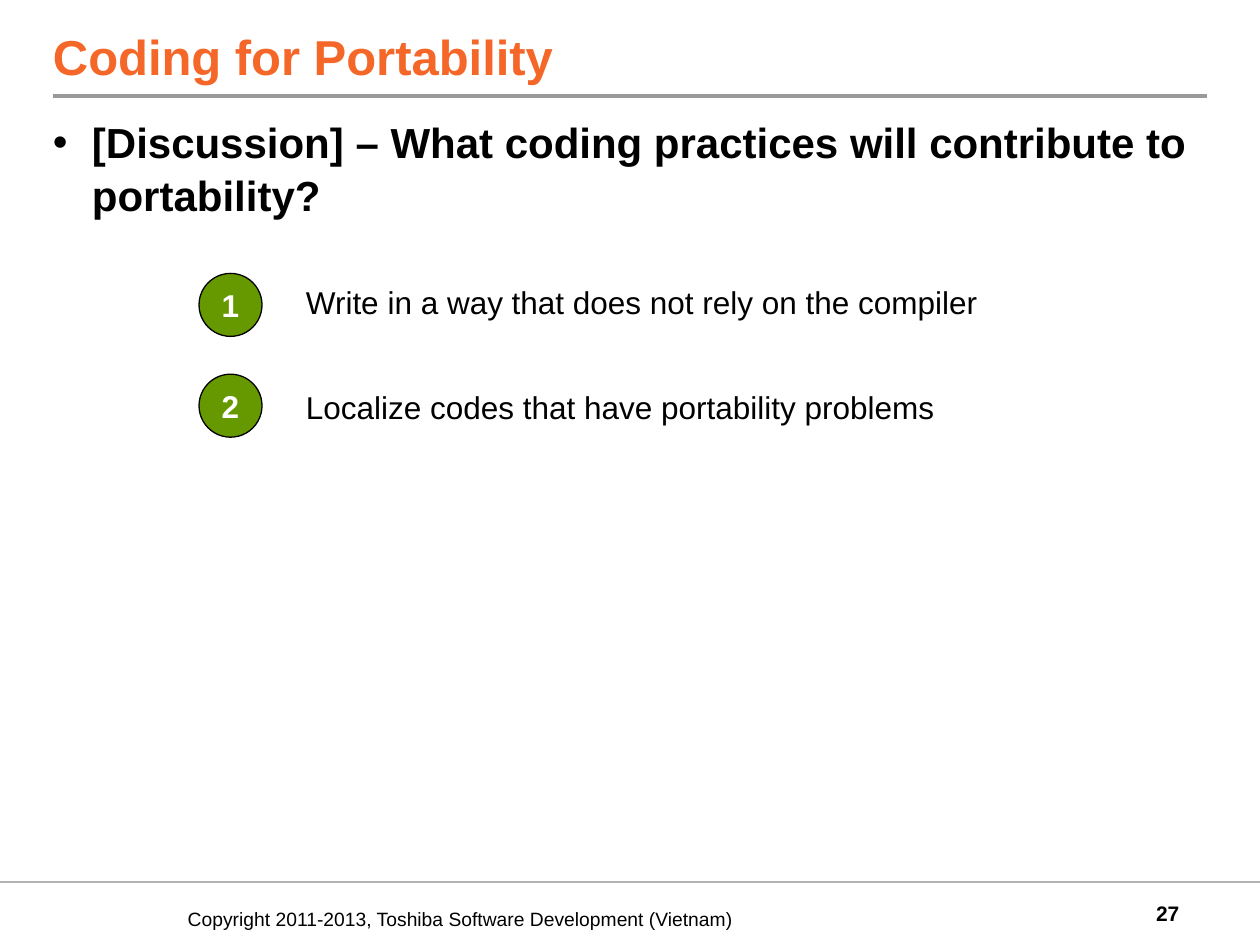
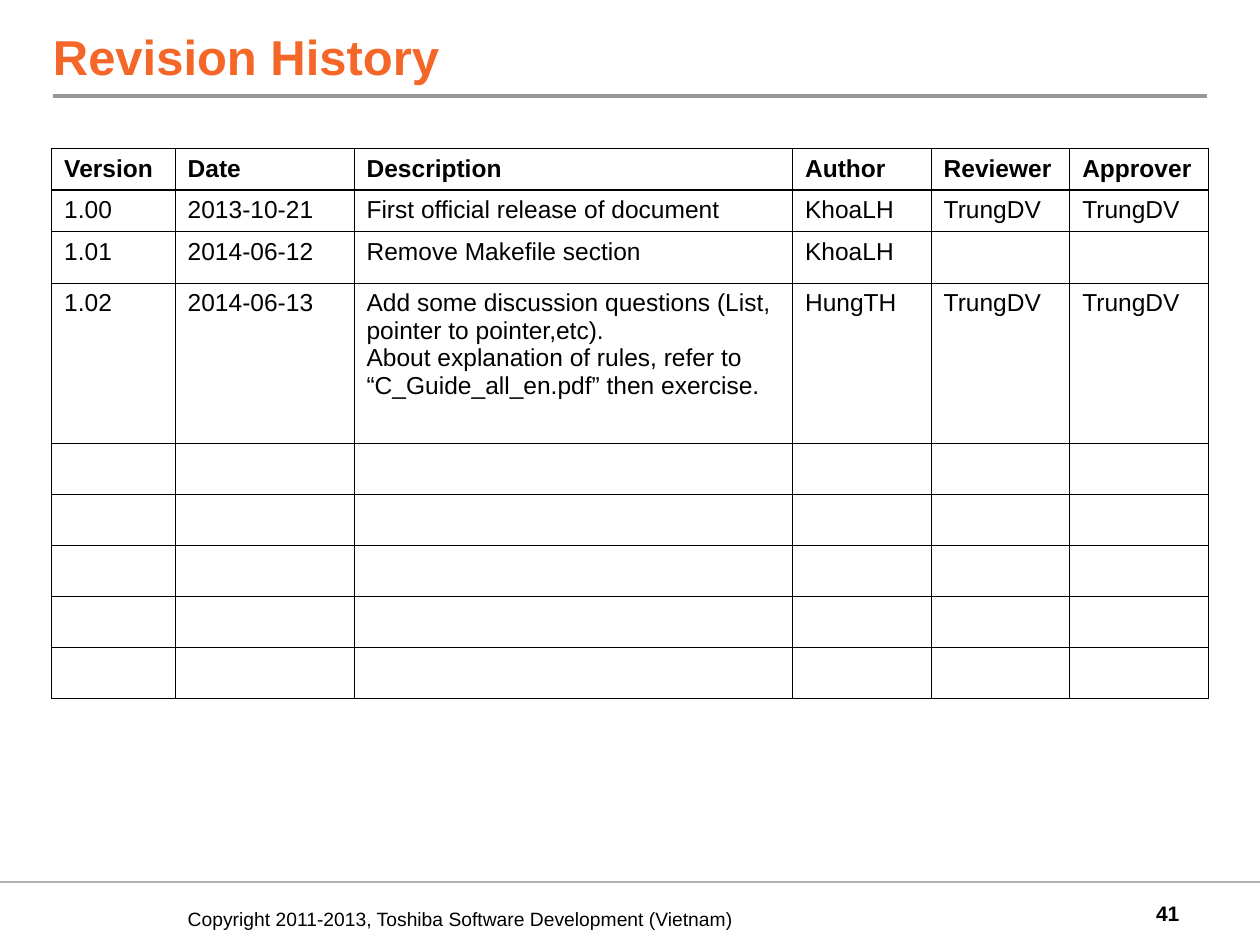
import pptx
import pptx.dml.color
import pptx.enum.shapes
import pptx.enum.text
import pptx.oxml
import pptx.oxml.ns
import pptx.util
from lxml import etree

COLORS = {
    "title": "F46728",
    "title_rule": "999999",
    "footer_rule": "B2B2B2",
    "text": "000000",
    "badge": "669900",
    "badge_text": "FFFFFF",
}
FONT = "Arial"
GRID = pptx.util.Inches(0.1)
COLUMNS, ROWS = 100, 75
MARGIN = 4.2
CONTENT_WIDTH = COLUMNS - 2 * MARGIN
COPYRIGHT = "Copyright 2011-2013, Toshiba Software Development (Vietnam)"
ALIGN = pptx.enum.text.PP_ALIGN
ANCHOR = pptx.enum.text.MSO_ANCHOR

PRACTICES = [
    "Write in a way that does not rely on the compiler",
    "Localize codes that have portability problems",
]
REVISIONS = [
    ["Version", "Date", "Description", "Author", "Reviewer", "Approver"],
    ["1.00", "2013-10-21", "First official release of document", "KhoaLH", "TrungDV", "TrungDV"],
    ["1.01", "2014-06-12", "Remove Makefile section", "KhoaLH", "", ""],
    ["1.02", "2014-06-13",
     "Add some discussion questions (List, pointer to pointer,etc).\n"
     "About explanation of rules, refer to “C_Guide_all_en.pdf” then exercise.",
     "HungTH", "TrungDV", "TrungDV"],
] + [[""] * 6] * 5
REVISION_COLUMNS = [9.8, 14.2, 34.8, 11, 11, 11]
REVISION_ROWS = [3.3, 3.3, 3.8, 12.7] + [3.8] * 5


def grid(*cells):
    """Turn grid columns or rows into lengths."""
    return [round(cell * GRID) for cell in cells]


def rgb(name):
    """Look up a palette colour."""
    return pptx.dml.color.RGBColor.from_string(COLORS[name])


def set_text(text_frame, text, size, color="text", bold=False, align=ALIGN.LEFT):
    """Fill a text frame and format all its runs."""
    text_frame.text = text
    for paragraph in text_frame.paragraphs:
        paragraph.alignment = align
        for run in paragraph.runs:
            run.font.name = FONT
            run.font.size = pptx.util.Pt(size)
            run.font.bold = bold
            run.font.color.rgb = rgb(color)


def set_frame(text_frame, anchor, wrap=True, insets=(0, 0)):
    """Set anchor, wrapping and the side and top insets in grid units."""
    text_frame.auto_size = pptx.enum.text.MSO_AUTO_SIZE.NONE
    text_frame.word_wrap = wrap
    text_frame.vertical_anchor = anchor
    side, top = grid(*insets)
    text_frame.margin_left = text_frame.margin_right = side
    text_frame.margin_top = text_frame.margin_bottom = top


def move(shape, *box):
    """Place a shape at a left, top, width and height on the grid."""
    shape.left, shape.top, shape.width, shape.height = grid(*box)


def add_label(slide, box, text, size, anchor=ANCHOR.MIDDLE, insets=(0, 0), **style):
    """Add a text box on the grid."""
    label = slide.shapes.add_textbox(*grid(*box))
    set_frame(label.text_frame, anchor, insets=insets)
    set_text(label.text_frame, text, size, **style)


def add_rule(slide, left, right, row, color, width):
    """Add a horizontal line without a shadow."""
    rule = slide.shapes.add_connector(
        pptx.enum.shapes.MSO_CONNECTOR.STRAIGHT, *grid(left, row, right, row))
    rule.line.color.rgb = rgb(color)
    rule.line.width = pptx.util.Pt(width)
    etree.SubElement(rule._element.spPr, pptx.oxml.ns.qn("a:effectLst"))


def add_slide(presentation, layout, title, number):
    """Add a slide with the shared title, rules and footer."""
    slide = presentation.slides.add_slide(presentation.slide_layouts[layout])
    heading = slide.shapes.title
    move(heading, MARGIN, 0, CONTENT_WIDTH, 6.8)
    set_frame(heading.text_frame, ANCHOR.BOTTOM)
    set_text(heading.text_frame, title, 28, "title", bold=True)
    add_rule(slide, MARGIN, COLUMNS - MARGIN, 7.6, "title_rule", 2.25)
    add_rule(slide, 0, COLUMNS, 70, "footer_rule", 1)
    add_label(slide, (14.9, 70.8, 49.3, 4.2), COPYRIGHT, 11)
    add_label(slide, (89.4, 70.8, 4.2, 3.3), str(number), 12, bold=True, align=ALIGN.RIGHT)
    return slide


def fill_body(slide, text):
    """Put one bold bulleted question in the body placeholder."""
    body = slide.placeholders[1]
    move(body, MARGIN, 9.1, CONTENT_WIDTH, 58.4)
    set_frame(body.text_frame, ANCHOR.TOP)
    set_text(body.text_frame, text, 24, bold=True)
    paragraph = body.text_frame.paragraphs[0]
    paragraph.space_before = pptx.util.Pt(0)
    paragraph.space_after = pptx.util.Pt(7.5)
    paragraph.line_spacing = 1.04
    properties = paragraph._p.get_or_add_pPr()
    indent = grid(3.1)[0]
    properties.set("marL", str(indent))
    properties.set("indent", str(-indent))
    bullet = etree.SubElement(properties, pptx.oxml.ns.qn("a:buChar"))
    bullet.set("char", "•")


def add_practice(slide, index, text):
    """Add a numbered badge and the practice beside it."""
    badge = slide.shapes.add_shape(
        pptx.enum.shapes.MSO_SHAPE.OVAL, *grid(15.8, 21.7 + 8 * index, 5, 5))
    badge.shadow.inherit = False
    badge.fill.solid()
    badge.fill.fore_color.rgb = rgb("badge")
    badge.line.color.rgb = rgb("text")
    badge.line.width = pptx.util.Pt(0.75)
    set_frame(badge.text_frame, ANCHOR.MIDDLE, wrap=False, insets=(1, 0.5))
    set_text(badge.text_frame, str(index + 1), 18, "badge_text", bold=True, align=ALIGN.CENTER)
    add_label(slide, (23.3, 22 + 8.3 * index, 66.7, 4), text, 18, ANCHOR.TOP, (1, 0.5))


def set_border(cell, side, width):
    """Draw one side of a cell as a solid line."""
    cell._tc.get_or_add_tcPr().append(pptx.oxml.parse_xml(
        f'<a:{side} {pptx.oxml.ns.nsdecls("a")} w="{pptx.util.Pt(width)}"><a:solidFill>'
        f'<a:srgbClr val="{COLORS["text"]}"/></a:solidFill></a:{side}>'))


def add_revision_table(slide):
    """Add the revision table with plain bordered cells."""
    box = grid(4.1, 11.8, sum(REVISION_COLUMNS), sum(REVISION_ROWS))
    table = slide.shapes.add_table(len(REVISIONS), len(REVISION_COLUMNS), *box).table
    table.first_row = table.horz_banding = False
    for column, width in zip(table.columns, grid(*REVISION_COLUMNS)):
        column.width = width
    for row, height in zip(table.rows, grid(*REVISION_ROWS)):
        row.height = height
    for row_index, values in enumerate(REVISIONS):
        for column_index, value in enumerate(values):
            cell = table.cell(row_index, column_index)
            set_text(cell.text_frame, value, 14, bold=row_index == 0)
            cell.margin_left, cell.margin_right = grid(1, 1)
            cell.margin_top, cell.margin_bottom = grid(0.5, 0.5)
            set_border(cell, "lnL", 0.45)
            set_border(cell, "lnR", 0.45)
            set_border(cell, "lnT", 0.96 if row_index == 1 else 0.45)
            set_border(cell, "lnB", 0.96 if row_index == 0 else 0.45)
            cell.fill.background()


def main():
    """Build both slides and save them."""
    presentation = pptx.Presentation()
    presentation.slide_width, presentation.slide_height = grid(COLUMNS, ROWS)
    discussion = add_slide(presentation, 1, "Coding for Portability", 27)
    fill_body(discussion, "[Discussion] – What coding practices will contribute to portability?")
    for index, practice in enumerate(PRACTICES):
        add_practice(discussion, index, practice)
    history = add_slide(presentation, 5, "Revision History", 41)
    add_revision_table(history)
    presentation.save("out.pptx")


if __name__ == "__main__":
    main()
